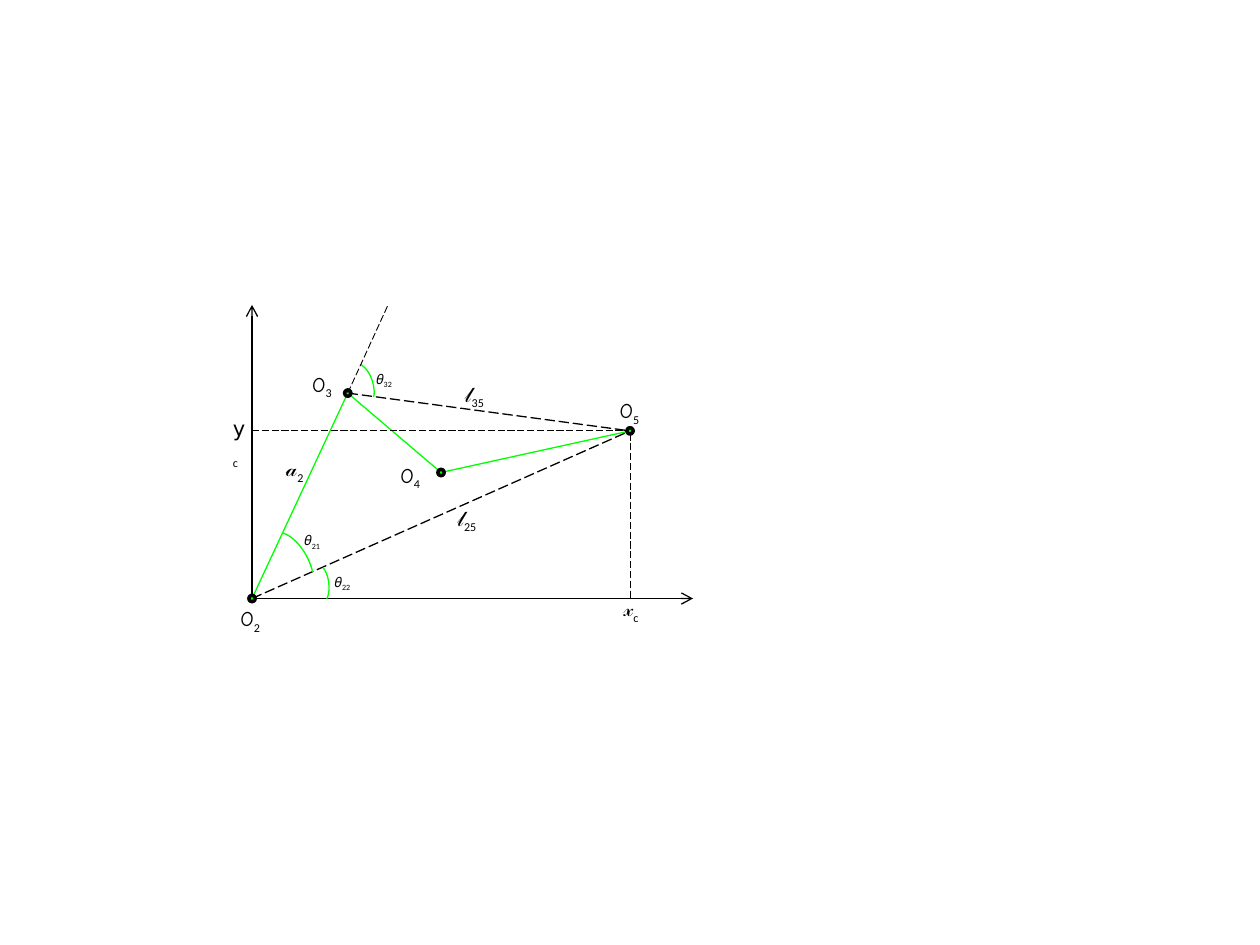
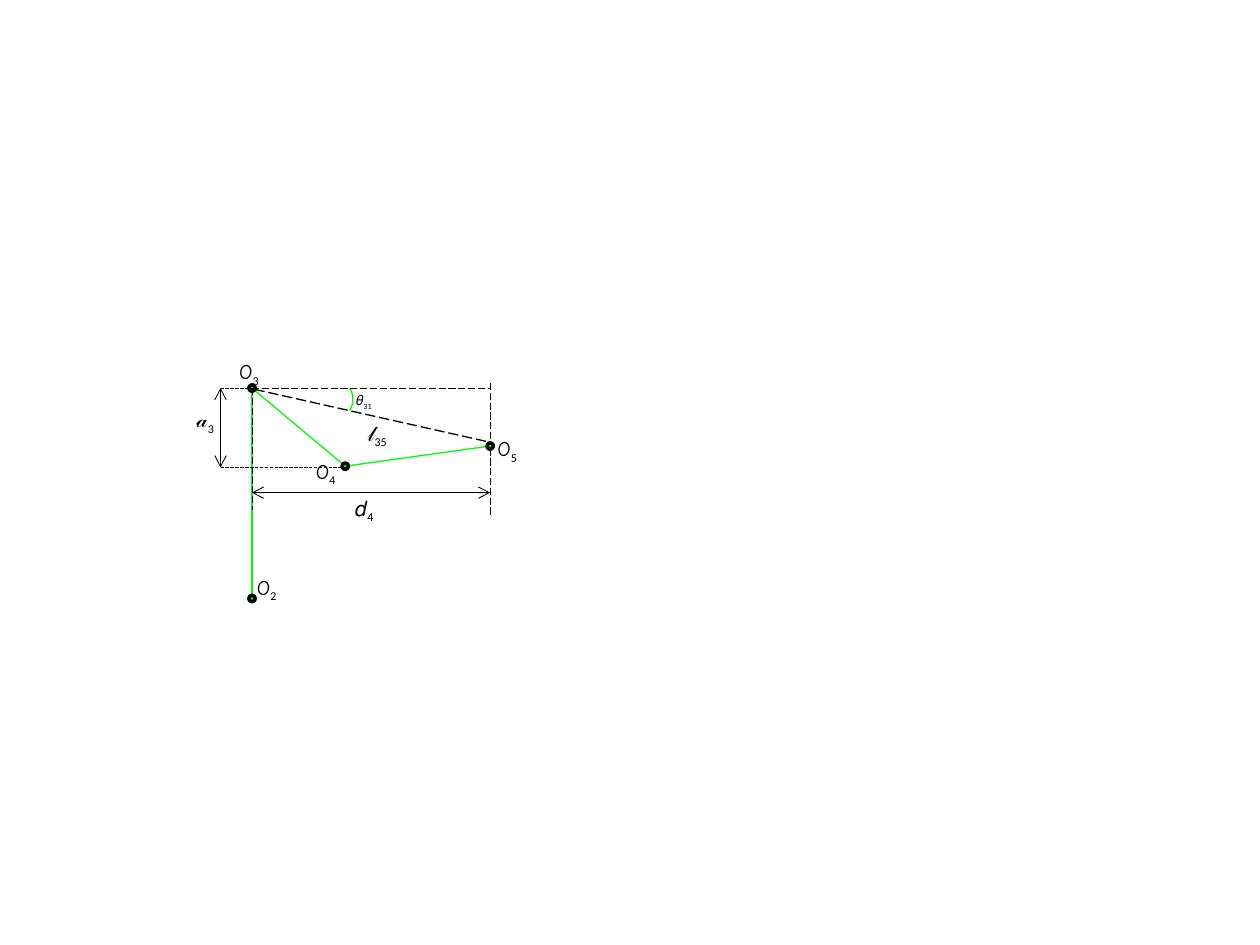
from pptx import Presentation
from pptx.dml.color import RGBColor
from pptx.enum.dml import MSO_LINE_DASH_STYLE as Dash
from pptx.enum.shapes import MSO_CONNECTOR as Connector, MSO_SHAPE as Shape
from pptx.enum.text import MSO_AUTO_SIZE as AutoSize
from pptx.oxml.ns import qn
from pptx.util import Inches, Pt
from lxml.etree import SubElement

COLOURS = {"ink": "000000", "link": "00FF00", "paper": "FFFFFF"}
SYMBOL_FONT = "Comic Neue"
PLAIN_FONT = "Calibri"
JOINT_SIZE = 0.05
ARC_UNITS_PER_DEGREE = 0.6


class Diagram:
    """Draws linkage diagrams in one style on the current slide."""

    def __init__(self):
        self.deck = Presentation()
        self.deck.slide_width, self.deck.slide_height = Inches(10), Inches(7.5)
        self.page = None

    def new_page(self):
        self.page = self.deck.slides.add_slide(self.deck.slide_layouts[6])
        fill = self.page.background.fill
        fill.solid()
        fill.fore_color.rgb = self.colour("paper")

    def colour(self, name):
        return RGBColor.from_string(COLOURS[name])

    def line(self, start, end, colour="ink", width=0.75, dashed=False, arrows=()):
        line = self.page.shapes.add_connector(
            Connector.STRAIGHT, *(Inches(value) for value in (*start, *end)))
        line.line.color.rgb = self.colour(colour)
        line.line.width = Pt(width)
        if dashed:
            line.line.dash_style = Dash.LONG_DASH
        properties = line._element.spPr
        for arrow in arrows:
            SubElement(properties.find(qn("a:ln")), qn(f"a:{arrow}"), type="arrow")
        SubElement(properties, qn("a:effectLst"))

    def links(self, *points):
        for start, end in zip(points, points[1:]):
            self.line(start, end, "link")

    def guide(self, start, end, width=0.5):
        self.line(start, end, width=width, dashed=True)

    def dimension(self, start, end):
        self.line(start, end, width=0.5, arrows=("headEnd", "tailEnd"))

    def shape(self, kind, left, top, width, height, colour, weight):
        shape = self.page.shapes.add_shape(
            kind, Inches(left), Inches(top), Inches(width), Inches(height))
        shape.shadow.inherit = False
        shape.line.color.rgb = self.colour(colour)
        shape.line.width = Pt(weight)
        return shape

    def joint(self, x, y):
        half = JOINT_SIZE / 2
        dot = self.shape(Shape.OVAL, x - half, y - half, JOINT_SIZE, JOINT_SIZE, "ink", 2)
        dot.fill.solid()
        dot.fill.fore_color.rgb = self.colour("link")

    def angle(self, left, top, width, height, rotation, start, end):
        arc = self.shape(Shape.ARC, left, top, width, height, "link", 0.75)
        arc.fill.background()
        arc.rotation = rotation
        for index, degrees in enumerate((start, end)):
            arc.adjustments[index] = degrees * ARC_UNITS_PER_DEGREE

    def label(self, symbol, index, left, top, width=0.4, size=12,
              font=SYMBOL_FONT, wrap=False):
        height = 0.24 if size == 8 else 0.3
        box = self.page.shapes.add_textbox(
            Inches(left), Inches(top), Inches(width), Inches(height))
        box.text_frame.word_wrap = wrap
        box.text_frame.auto_size = AutoSize.SHAPE_TO_FIT_TEXT
        para = box.text_frame.paragraphs[0]
        para.font.size = Pt(size)
        para.font.color.rgb = self.colour("ink")
        for text, face in ((symbol, font), (index, PLAIN_FONT)):
            span = para.add_run()
            span.text = text
            span.font.name = face
        span.font._element.set("baseline", "-25000")

    def theta(self, index, left, top):
        self.label("𝜃", index, left, top, width=0.34, size=8)


def draw_position(diagram):
    """Draws the whole linkage in the x-y plane."""
    diagram.new_page()
    o2, o3, o4, o5 = (2, 4.75), (2.76, 3.12), (3.5, 3.75), (5, 3.42)
    for axis_end in ((5.5, 4.75), (2, 2.42)):
        diagram.line(o2, axis_end, arrows=("tailEnd",))
    diagram.links(o2, o3, o4, o5)
    for joint in (o2, o3):
        diagram.guide(joint, o5, width=0.75)
    for joint in (o3, o4, o5, o2):
        diagram.joint(*joint)
    diagram.angle(2.47, 4.48, 0.14, 0.3, 352, 289.05, 74.55)
    diagram.angle(2.16, 4.2, 0.29, 0.56, 331.4, 285.54, 47.58)
    diagram.angle(2.78, 2.88, 0.18, 0.34, 342.2, 285.33, 63.74)
    diagram.guide(o3, (3.08, 2.42))
    diagram.guide((2, 3.42), (4.97, 3.42))
    diagram.guide((5, 3.44), (5, 4.75))
    diagram.theta("21", 2.32, 4.17)
    diagram.theta("22", 2.56, 4.5)
    diagram.theta("32", 2.89, 2.89)
    diagram.label("O", "2", 1.81, 4.76)
    diagram.label("O", "3", 2.38, 2.9)
    diagram.label("O", "4", 3.08, 3.62, width=0.41, wrap=True)
    diagram.label("O", "5", 4.82, 3.11)
    diagram.label("𝒶", "2", 2.17, 3.57, width=0.37)
    diagram.label("𝓁", "25", 3.53, 3.96)
    diagram.label("𝓁", "35", 3.59, 2.98)
    diagram.label("𝗒", "c", 1.75, 3.25, width=0.33, font=PLAIN_FONT)
    diagram.label("𝓍", "c", 4.85, 4.68, width=0.49, font=PLAIN_FONT, wrap=True)


def draw_forearm(diagram):
    """Draws the forearm offsets with the upper arm upright."""
    diagram.new_page()
    o2, o3, o4, o5 = (2, 4.75), (2, 3.08), (2.74, 3.7), (3.89, 3.54)
    diagram.links(o2, o3, o4, o5)
    diagram.guide((2.02, 3.09), (3.89, 3.51), width=0.75)
    for joint in (o3, o4, o5, o2):
        diagram.joint(*joint)
    diagram.angle(2.71, 3.08, 0.09, 0.19, 2.9, 278.32, 74.5)
    diagram.guide(o3, (3.89, 3.08))
    diagram.guide(o3, (2, 4.05))
    diagram.guide((3.89, 3.04), (3.89, 3.5))
    diagram.guide((3.89, 3.56), (3.89, 4.09))
    diagram.guide((1.75, 3.08), o3, width=0.25)
    diagram.guide((1.75, 3.71), (2.74, 3.71), width=0.25)
    diagram.dimension((1.75, 3.08), (1.75, 3.71))
    diagram.dimension((3.89, 3.91), (2, 3.91))
    diagram.theta("31", 2.73, 3.06)
    diagram.label("𝒶", "3", 1.46, 3.18, width=0.37)
    diagram.label("𝓁", "35", 2.82, 3.29)
    diagram.label("𝑑", "4", 2.72, 3.88, width=0.36)
    diagram.label("O", "2", 1.94, 4.51)
    diagram.label("O", "3", 1.8, 2.8)
    diagram.label("O", "4", 2.41, 3.59)
    diagram.label("O", "5", 3.85, 3.41)


def main():
    """Builds both pages and saves the deck."""
    diagram = Diagram()
    draw_position(diagram)
    draw_forearm(diagram)
    diagram.deck.save("out.pptx")


if __name__ == "__main__":
    main()
